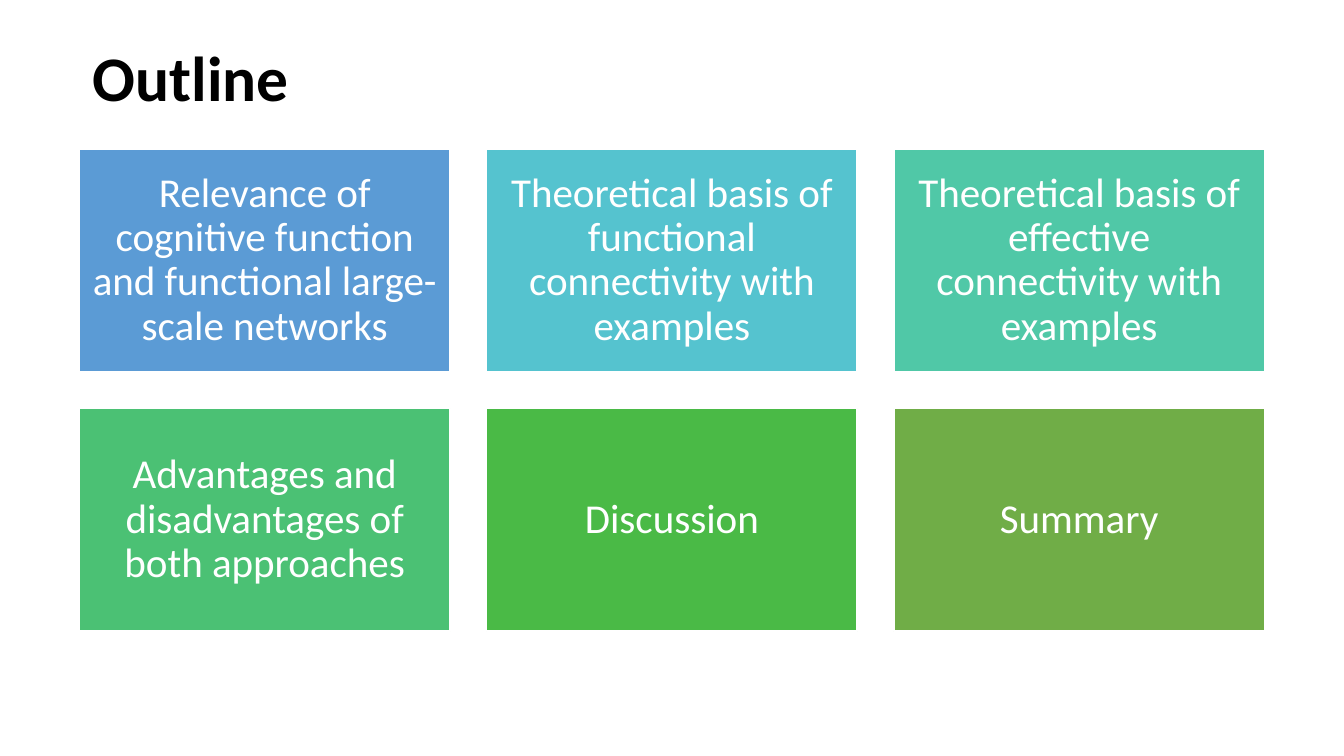
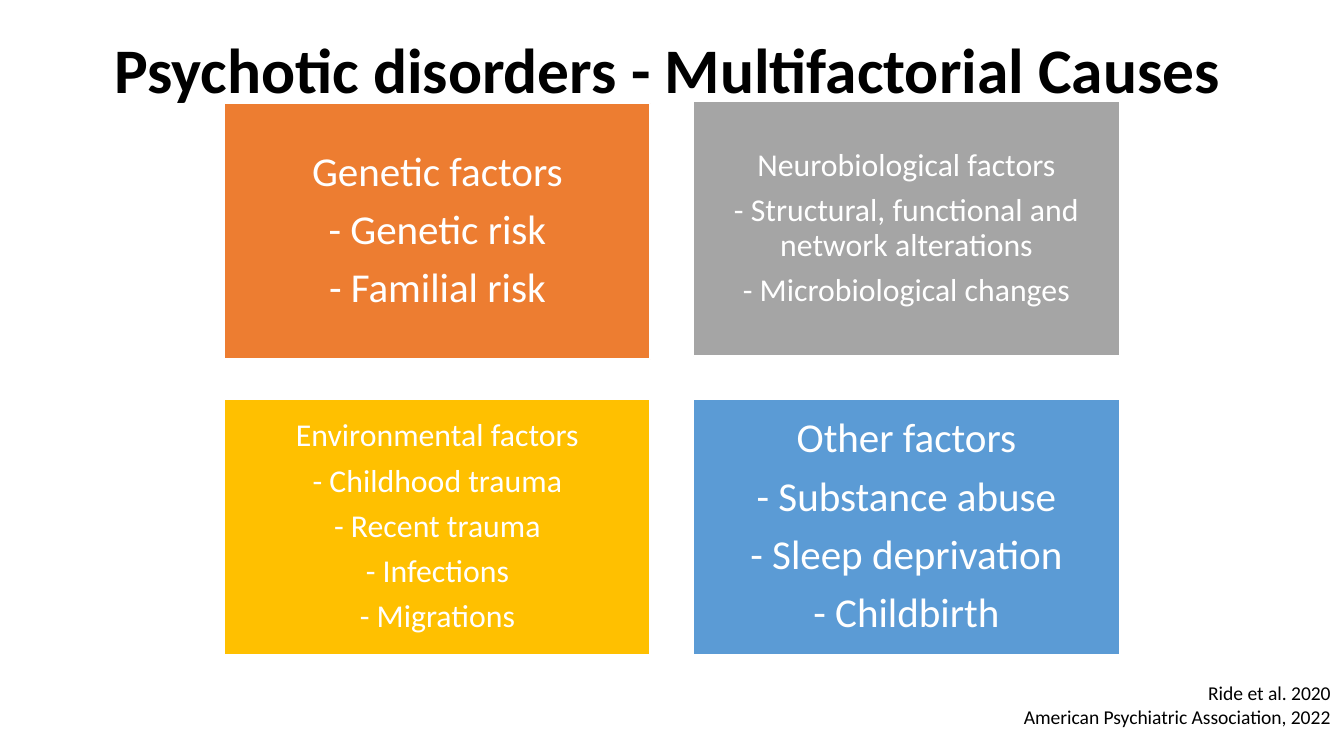
from pptx import Presentation
from pptx.dml.color import RGBColor
from pptx.enum.shapes import MSO_SHAPE
from pptx.enum.text import MSO_ANCHOR, MSO_AUTO_SIZE, PP_ALIGN
from pptx.util import Inches, Pt

RECTANGLE = MSO_SHAPE.RECTANGLE
MIDDLE = MSO_ANCHOR.MIDDLE
NO_AUTOFIT = MSO_AUTO_SIZE.NONE
LEFT, CENTER, RIGHT = PP_ALIGN.LEFT, PP_ALIGN.CENTER, PP_ALIGN.RIGHT

FONT = "Calibri"
BLACK = RGBColor(0x00, 0x00, 0x00)
WHITE = RGBColor(0xFF, 0xFF, 0xFF)
BLUE = RGBColor(0x5B, 0x9B, 0xD5)
TURQUOISE = RGBColor(0x55, 0xC3, 0xCF)
TEAL = RGBColor(0x50, 0xC8, 0xA7)
MINT = RGBColor(0x4B, 0xC1, 0x74)
GREEN = RGBColor(0x4A, 0xBA, 0x46)
OLIVE = RGBColor(0x70, 0xAD, 0x47)
ORANGE = RGBColor(0xED, 0x7D, 0x31)
GRAY = RGBColor(0xA5, 0xA5, 0xA5)
GOLD = RGBColor(0xFF, 0xC0, 0x00)

TILE_SIZE = 22
SMALL_TILE_SIZE = 17
TILE_INSET = 0.09
TILE_ASPECT = 0.6
PARAGRAPH_GAP = 0.34

prs = Presentation()
prs.slide_width = Inches(10)
prs.slide_height = prs.slide_width * 9 // 16
title_only = prs.slide_layouts[5]


def write_lines(frame, lines, size, color, align, bold=False, spacing=0.9, gap=0):
    for index, line in enumerate(lines):
        paragraph = frame.paragraphs[0] if index == 0 else frame.add_paragraph()
        paragraph.alignment = align
        paragraph.line_spacing = spacing
        paragraph.space_before = Pt(0)
        paragraph.space_after = Pt(round(gap * size, 1))
        run = paragraph.add_run()
        run.text = line
        run.font.name = FONT
        run.font.size = Pt(size)
        run.font.bold = bold
        run.font.color.rgb = color


outline_topics = [
    (BLUE, TILE_SIZE, 0, ["Relevance of cognitive function and functional large-scale networks"]),
    (TURQUOISE, TILE_SIZE, 0, ["Theoretical basis of functional connectivity with examples"]),
    (TEAL, TILE_SIZE, 0, ["Theoretical basis of effective connectivity with examples"]),
    (MINT, TILE_SIZE, 0, ["Advantages and disadvantages of both approaches"]),
    (GREEN, TILE_SIZE, 0, ["Discussion"]),
    (OLIVE, TILE_SIZE, 0, ["Summary"]),
]

cause_groups = [
    (ORANGE, TILE_SIZE, 0.02, ["Genetic factors", "- Genetic risk", "- Familial risk"]),
    (GRAY, SMALL_TILE_SIZE, 0, [
        "Neurobiological factors",
        "- Structural, functional and network alterations",
        "- Microbiological changes",
    ]),
    (GOLD, SMALL_TILE_SIZE, 0, [
        "Environmental factors",
        "- Childhood trauma",
        "- Recent trauma",
        "- Infections",
        "- Migrations",
    ]),
    (BLUE, TILE_SIZE, 0, [
        "Other factors",
        "- Substance abuse",
        "- Sleep deprivation",
        "- Childbirth",
    ]),
]

pages = [
    ("Outline", (0.59, 0.06, 8.23, 1.09), 3, (0.59, 1.11), 2.76, (3.03, 1.93),
     outline_topics, []),
    ("Psychotic disorders - Multifactorial Causes", (0.75, 0, 8.62, 1.09), 2,
     (1.67, 0.75), 3.17, (3.49, 2.22),
     cause_groups, ["Ride et al. 2020", "American Psychiatric Association, 2022"]),
]

for heading, heading_area, columns, origin, tile_width, pitch, topics, citations in pages:
    slide = prs.slides.add_slide(title_only)
    title = slide.shapes.title
    title.left, title.top, title.width, title.height = map(Inches, heading_area)
    title.text_frame.auto_size = NO_AUTOFIT
    title.text_frame.vertical_anchor = MIDDLE
    write_lines(title.text_frame, [heading], 34, BLACK, LEFT, bold=True)

    if citations:
        sources = slide.shapes.add_textbox(Inches(7.36), Inches(5.02), Inches(2.64), Inches(0.45))
        sources.text_frame.word_wrap = True
        write_lines(sources.text_frame, citations, 10.5, BLACK, RIGHT, spacing=1.0)

    for index, (color, size, drop, lines) in enumerate(topics):
        row, column = divmod(index, columns)
        topic = slide.shapes.add_shape(
            RECTANGLE,
            Inches(origin[0] + column * pitch[0]),
            Inches(origin[1] + row * pitch[1] + drop),
            Inches(tile_width),
            Inches(tile_width * TILE_ASPECT),
        )
        topic.shadow.inherit = False
        topic.fill.solid()
        topic.fill.fore_color.rgb = color
        topic.line.color.rgb = WHITE
        topic.line.width = Pt(1)
        frame = topic.text_frame
        frame.word_wrap = True
        frame.vertical_anchor = MIDDLE
        inset = Inches(round(TILE_INSET * size / TILE_SIZE, 2))
        frame.margin_left = frame.margin_right = inset
        frame.margin_top = frame.margin_bottom = inset
        write_lines(frame, lines, size, WHITE, CENTER, gap=PARAGRAPH_GAP)

prs.save("out.pptx")
